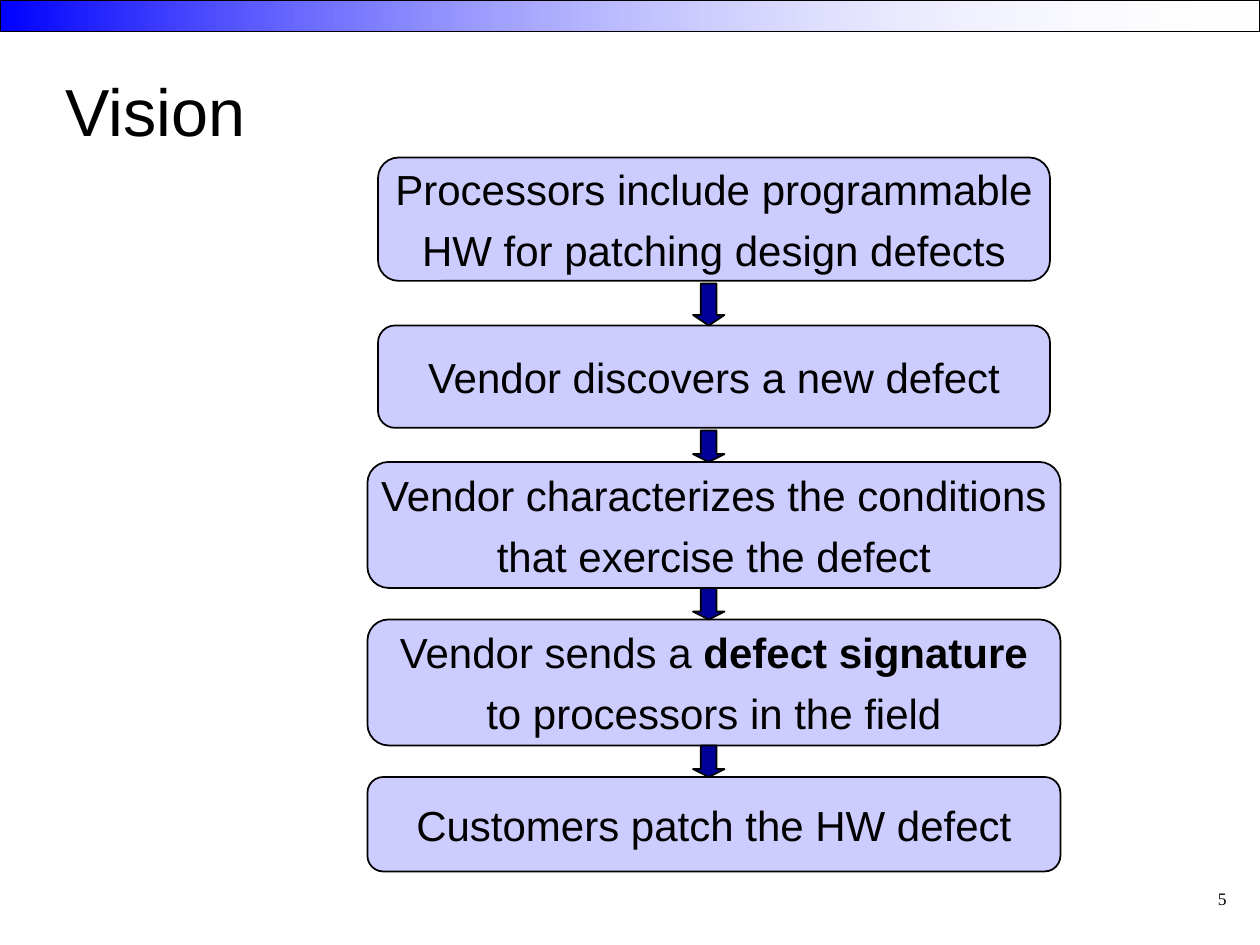
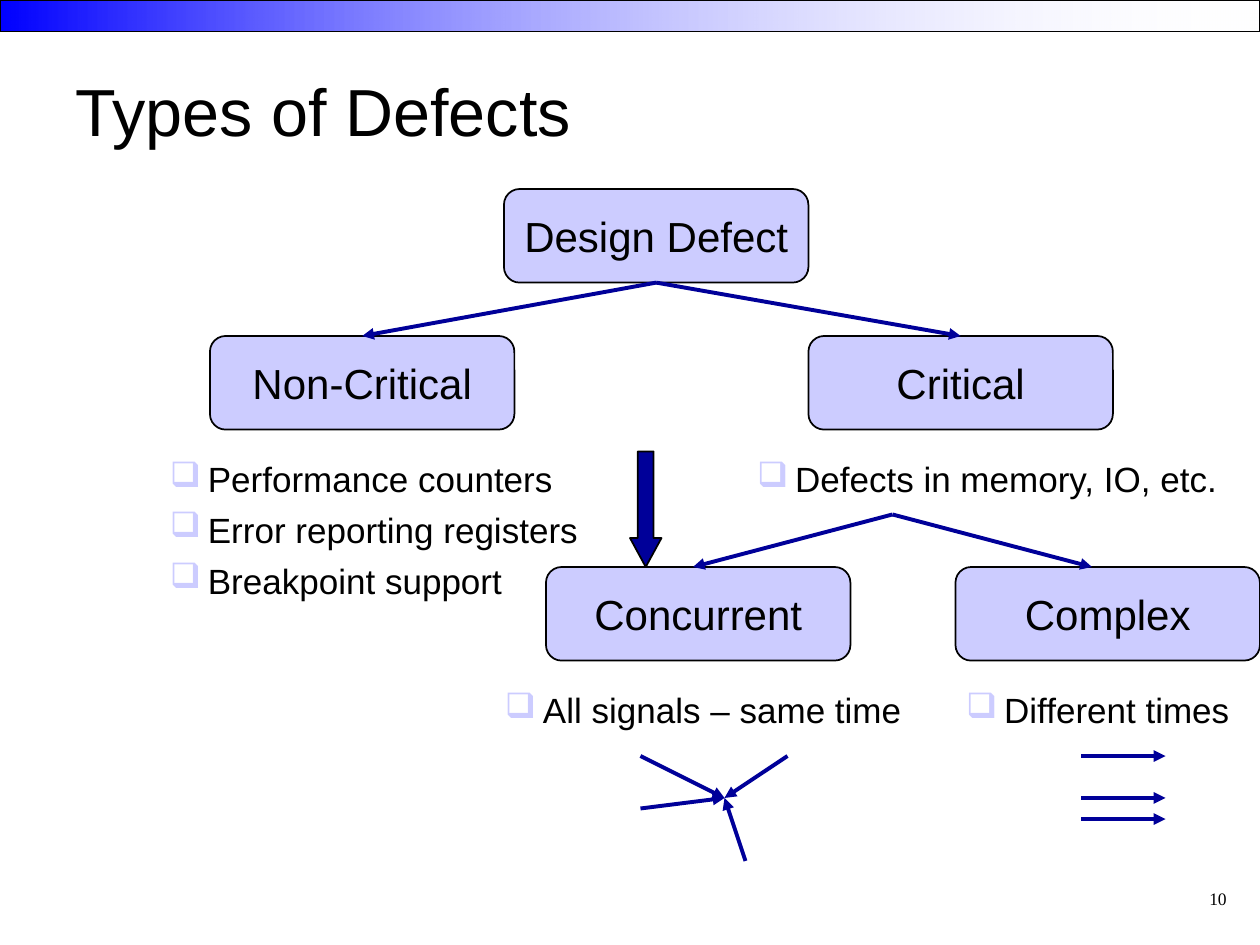
import pptx
import pptx.util
import pptx.dml.color
import pptx.enum.shapes
import pptx.enum.text
import lxml.etree

Pt = pptx.util.Pt
Preset = pptx.enum.shapes.MSO_SHAPE
Align = pptx.enum.text.PP_ALIGN
Anchor = pptx.enum.text.MSO_ANCHOR
A = "{http://schemas.openxmlformats.org/drawingml/2006/main}"

BLACK, WHITE, BLUE = "000000", "FFFFFF", "0000FF"
NAVY, LAVENDER = "000099", "CCCCFF"


def color(code):
    return pptx.dml.color.RGBColor.from_string(code)


def add_block(page, preset, left, top, width, height, fill, adjustments, lines=()):
    """Add an outlined shape; text between ** marks is bold."""
    shape = page.shapes.add_shape(preset, Pt(left), Pt(top), Pt(width), Pt(height))
    shape.shadow.inherit = False
    shape.fill.solid()
    shape.fill.fore_color.rgb = color(fill)
    shape.line.color.rgb = color(BLACK)
    shape.line.width = Pt(1)
    for index, value in enumerate(adjustments):
        shape.adjustments[index] = value
    frame = shape.text_frame
    frame.word_wrap = False
    frame.vertical_anchor = Anchor.MIDDLE
    for index, line in enumerate(lines):
        para = frame.add_paragraph() if index else frame.paragraphs[0]
        para.alignment = Align.CENTER
        para.space_before = Pt(6 if index else 0)
        para.font.name = "Arial"
        para.font.size = Pt(24)
        para.font.color.rgb = color(BLACK)
        for part, words in enumerate(line.split("**")):
            if words:
                span = para.add_run()
                span.text = words
                if part % 2:
                    span.font.bold = True
    return shape


deck = pptx.Presentation()
deck.slide_width, deck.slide_height = Pt(720), Pt(540)

# Titles and page numbers
pages = []
for title_text, title_left, number in [("Vision", 30, "5"), ("Types of Defects", 36, "10")]:
    page = deck.slides.add_slide(deck.slide_layouts[5])
    pages.append(page)
    title = page.shapes.title
    title.left, title.top, title.width, title.height = Pt(title_left), Pt(18), Pt(648), Pt(90)
    title.text_frame.text = title_text
    title.text_frame.vertical_anchor = Anchor.MIDDLE
    number_box = page.shapes.add_textbox(Pt(540), Pt(504), Pt(168), Pt(36))
    number_box.text_frame.word_wrap = True
    number_box.text_frame.text = number
    for frame, font, size, align in [
        (title.text_frame, "Arial", 38, Align.LEFT),
        (number_box.text_frame, "Times New Roman", 10, Align.RIGHT),
    ]:
        para = frame.paragraphs[0]
        para.alignment = align
        para.font.name = font
        para.font.size = Pt(size)
        para.font.color.rgb = color(BLACK)
vision, defects = pages

# Gradient band, moved to the master so that every slide shows it
band = add_block(vision, Preset.RECTANGLE, 0, 0, 720, 18, BLUE, [])
band.fill.gradient()
band.fill.gradient_angle = 180
for stop, code in zip(band.fill.gradient_stops, [WHITE, BLUE]):
    stop.color.rgb = color(code)
white_stop = next(band.element.iter(A + "gs"))
lxml.etree.SubElement(white_stop[0], A + "alpha", val="2000")
deck.slide_master.shapes.element.insert(2, band.element)

# Vision: chain of steps, each with an arrow leading to it
steps = [
    (216, 90, 384, 70.5, 0, ["Processors include programmable", "HW for patching design defects"]),
    (216, 186, 384, 58.5, 24, ["Vendor discovers a new defect"]),
    (210, 264, 396, 72, 18, ["Vendor characterizes the conditions", "that exercise the defect"]),
    (210, 354, 396, 72, 18, ["Vendor sends a **defect signature**", "to processors in the field"]),
    (210, 444, 396, 54, 18, ["Customers patch the HW defect"]),
]
for left, top, width, height, arrow_height, lines in steps:
    add_block(vision, Preset.ROUNDED_RECTANGLE, left, top, width, height, LAVENDER, [0.167], lines)
    if arrow_height:
        add_block(vision, Preset.DOWN_ARROW, 396, top - arrow_height, 18, arrow_height,
                  NAVY, [0.5, arrow_height / 72])

# Types of Defects: tree nodes
nodes = {}
for name, left, top in [
    ("Design Defect", 288, 108),
    ("Non-Critical", 120, 192),
    ("Critical", 462, 192),
    ("Concurrent", 312, 324),
    ("Complex", 546, 324),
]:
    nodes[name] = add_block(defects, Preset.ROUNDED_RECTANGLE, left, top, 174, 53.5,
                            LAVENDER, [0.167], [name])
add_block(defects, Preset.DOWN_ARROW, 360, 258, 18, 66, NAVY, [0.5, 0.917])

# Bulleted examples under the nodes
for left, top, width, items in [
    (90, 258, 255, ["Performance counters", "Error reporting registers", "Breakpoint support"]),
    (425.5, 258, 287, ["Defects in memory, IO, etc."]),
    (281.5, 390, 249, ["All signals – same time"]),
    (545, 390, 173, ["Different times"]),
]:
    box = defects.shapes.add_textbox(Pt(left), Pt(top), Pt(width), Pt(32 + 28.8 * (len(items) - 1)))
    frame = box.text_frame
    frame.word_wrap = True
    for index, item in enumerate(items):
        para = frame.add_paragraph() if index else frame.paragraphs[0]
        para.text = item
        para.space_before = Pt(5 if index else 0)
        props = para._p.get_or_add_pPr()
        props.set("marL", str(Pt(21.7)))
        props.set("indent", str(-Pt(21.7)))
        bullet_color = lxml.etree.SubElement(props, A + "buClr")
        lxml.etree.SubElement(bullet_color, A + "srgbClr", val=LAVENDER)
        lxml.etree.SubElement(props, A + "buChar", char="❑")
        para.font.name = "Arial"
        para.font.size = Pt(20)
        para.font.color.rgb = color(BLACK)

# Branches of the tree, signals that meet, and signals at different times
tree = defects.shapes
meeting = tree.add_group_shape().shapes
spread = tree.add_group_shape().shapes
arrows = [
    (tree, (375, 161.5), (207, 192), "Non-Critical"),
    (tree, (375, 161.5), (549, 192), "Critical"),
    (tree, (510, 294), (396, 324), None),
    (tree, (510, 294), (624, 324), None),
]
arrows += [(meeting, start, (414, 456), None)
           for start in [(366, 432), (450, 432), (366, 462), (426, 492)]]
arrows += [(spread, (618, y), (666, y), None) for y in (432, 456, 468)]
for shapes, start, end, target in arrows:
    arrow = shapes.add_connector(pptx.enum.shapes.MSO_CONNECTOR.STRAIGHT,
                                 *[Pt(value) for value in start + end])
    if target:
        arrow.begin_connect(nodes["Design Defect"], 2)
        arrow.end_connect(nodes[target], 0)
    arrow.line.color.rgb = color(NAVY)
    arrow.line.width = Pt(2.25)
    lxml.etree.SubElement(arrow.line._get_or_add_ln(), A + "tailEnd", type="triangle")
    lxml.etree.SubElement(arrow.element.spPr, A + "effectLst")

deck.save("out.pptx")
